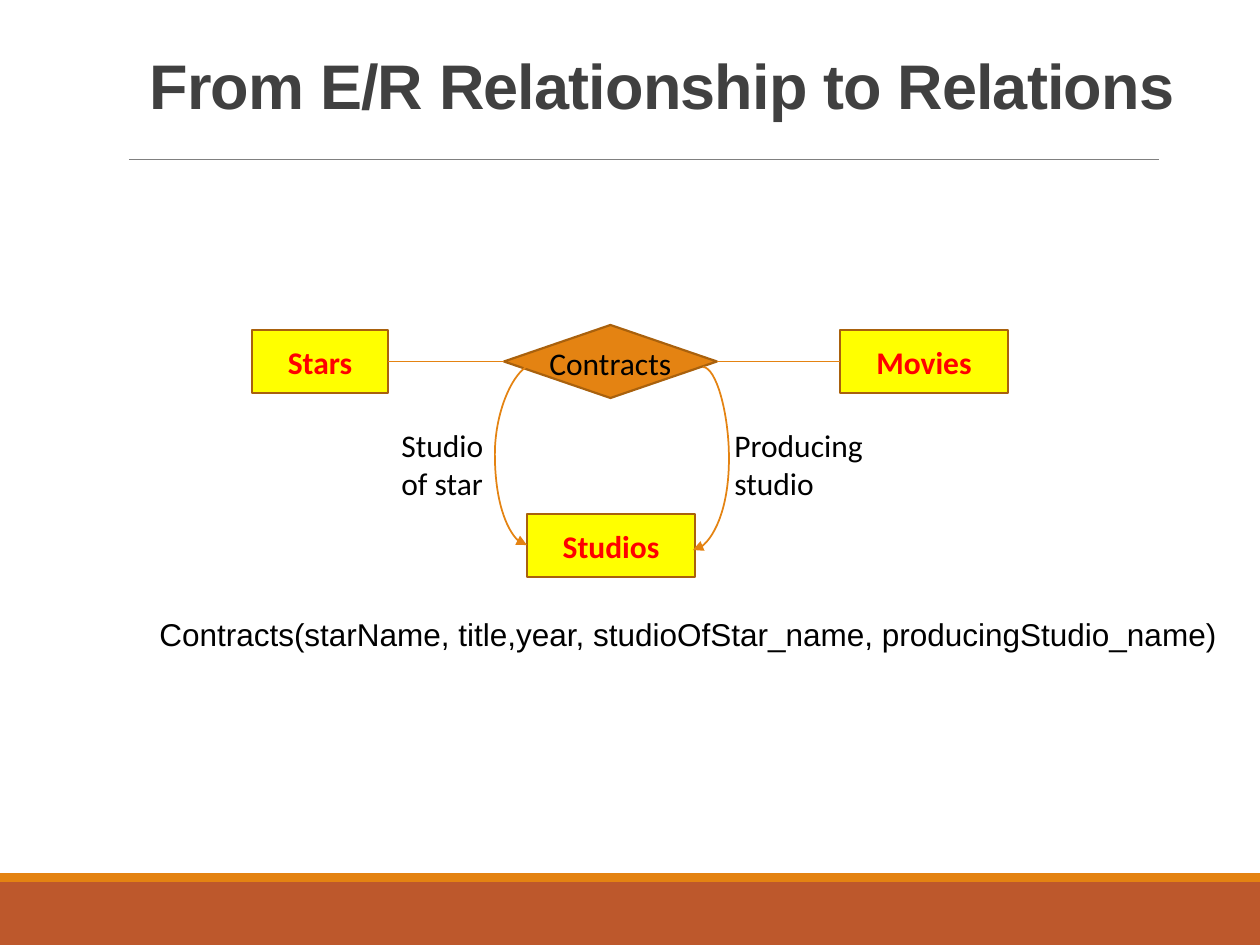
from dataclasses import dataclass

from lxml import etree
from pptx import Presentation
from pptx.dml.color import RGBColor
from pptx.enum.shapes import MSO_CONNECTOR, MSO_SHAPE
from pptx.enum.text import MSO_ANCHOR, MSO_AUTO_SIZE, PP_ALIGN
from pptx.oxml.ns import qn
from pptx.util import Emu, Pt

RECT, DIAMOND = MSO_SHAPE.RECTANGLE, MSO_SHAPE.DIAMOND
STRAIGHT, CURVE = MSO_CONNECTOR.STRAIGHT, MSO_CONNECTOR.CURVE
LEFT, CENTER = PP_ALIGN.LEFT, PP_ALIGN.CENTER
TOP, MIDDLE = MSO_ANCHOR.TOP, MSO_ANCHOR.MIDDLE
SIDE_LEFT, SIDE_RIGHT = 1, 3

EMU_PER_PX = 914400 / 126
ORANGE, RUST, BROWN = "E48312", "BD582C", "A9610D"
YELLOW, RED, BLACK, GRAY, DARK = "FFFF00", "FF0000", "000000", "808080", "404040"


@dataclass
class Box:
    x: int
    y: int
    w: int
    h: int


@dataclass
class Entity:
    name: str
    box: Box


@dataclass
class Label:
    lines: list[str]
    box: Box
    font: str = "Calibri"


@dataclass
class Role:
    """A curved arrow that swings out to x = bulge between its ends."""
    begin: tuple[int, int]
    end: tuple[int, int]
    bulge: int


ENTITIES = [
    Entity("Stars", Box(252, 330, 136, 63)),
    Entity("Movies", Box(840, 330, 168, 63)),
    Entity("Studios", Box(527, 514, 168, 63)),
]
LABELS = [
    Label(["Contracts"], Box(537, 338, 251, 50)),
    Label(["Studio", "of star"], Box(389, 420, 125, 89)),
    Label(["Producing", "studio"], Box(722, 420, 170, 89)),
    Label(["Contracts(starName, title,year, studioOfStar_name, producingStudio_name)"],
          Box(147, 609, 1084, 50), "Arial"),
]
ROLES = [
    Role((537, 363), (527, 545), 495),
    Role((703, 367), (693, 550), 729),
]


def px(n: int) -> Emu:
    return Emu(round(n * EMU_PER_PX))


def rgb(value: str) -> RGBColor:
    return RGBColor.from_string(value)


def place(b: Box) -> tuple[Emu, Emu, Emu, Emu]:
    return px(b.x), px(b.y), px(b.w), px(b.h)


def add_run(p, text: str, font: str, size: int, color: str, bold: bool = False):
    r = p.add_run()
    r.text = text
    r.font.name, r.font.size, r.font.bold = font, Pt(size), bold
    r.font.color.rgb = rgb(color)
    return r


def add_box(s, kind, b: Box, fill: str, line: str | None = None):
    sp = s.shapes.add_shape(kind, *place(b))
    sp.shadow.inherit = False
    sp.fill.solid()
    sp.fill.fore_color.rgb = rgb(fill)
    if line:
        sp.line.color.rgb = rgb(line)
        sp.line.width = Pt(1.25)
    else:
        sp.line.fill.background()
    return sp


def add_entity(s, entity: Entity):
    sp = add_box(s, RECT, entity.box, YELLOW, BROWN)
    tf = sp.text_frame
    tf.vertical_anchor = MIDDLE
    p = tf.paragraphs[0]
    p.alignment = CENTER
    add_run(p, entity.name, "Calibri", 18, RED, True)
    return sp


def add_label(s, label: Label) -> None:
    tf = s.shapes.add_textbox(*place(label.box)).text_frame
    tf.word_wrap = False
    tf.auto_size = MSO_AUTO_SIZE.SHAPE_TO_FIT_TEXT
    for i, line in enumerate(label.lines):
        p = tf.add_paragraph() if i else tf.paragraphs[0]
        add_run(p, line, label.font, 18, BLACK)


def add_line(s, kind, begin: tuple[int, int], end: tuple[int, int],
             color: str = ORANGE, width: float = 1):
    c = s.shapes.add_connector(kind, *map(px, begin + end))
    c.line.color.rgb = rgb(color)
    c.line.width = Pt(width)
    etree.SubElement(c._element.spPr, qn("a:effectLst"))
    return c


def join(s, a, b) -> None:
    """Link the right side of a to the left side of b."""
    c = add_line(s, STRAIGHT, (0, 0), (0, 0))
    c.begin_connect(a, SIDE_RIGHT)
    c.end_connect(b, SIDE_LEFT)


def add_role(s, role: Role) -> None:
    c = add_line(s, CURVE, role.begin, role.end)
    x1, x2 = role.begin[0], role.end[0]
    adjust = round((role.bulge - x1) / (x2 - x1) * 100000)
    guides = c._element.spPr.find(qn("a:prstGeom")).get_or_add_avLst()
    etree.SubElement(guides, qn("a:gd"), name="adj1", fmla=f"val {adjust}")
    etree.SubElement(c.line._get_or_add_ln(), qn("a:tailEnd"), type="triangle")


def add_title(s, text: str) -> None:
    title = s.shapes.title
    title.left, title.top, title.width, title.height = place(Box(137, 52, 1094, 116))
    tf = title.text_frame
    tf.word_wrap = True
    tf.auto_size = MSO_AUTO_SIZE.NONE
    tf.vertical_anchor = TOP
    p = tf.paragraphs[0]
    p.alignment = LEFT
    p.line_spacing = 0.85
    r = add_run(p, text, "Arial", 36, DARK, True)
    r.font._element.set("spc", "-50")


def main() -> None:
    prs = Presentation()
    prs.slide_width, prs.slide_height = px(1260), px(945)
    s = prs.slides.add_slide(prs.slide_layouts[5])

    add_box(s, RECT, Box(0, 882, 1260, 63), RUST)
    add_box(s, RECT, Box(0, 873, 1260, 9), ORANGE)
    add_line(s, STRAIGHT, (129, 159), (1159, 159), GRAY, 0.5)
    add_title(s, "From E/R Relationship to Relations")

    stars, movies, _ = [add_entity(s, entity) for entity in ENTITIES]
    contracts = add_box(s, DIAMOND, Box(504, 325, 213, 73), ORANGE, BROWN)
    join(s, stars, contracts)
    join(s, contracts, movies)
    for role in ROLES:
        add_role(s, role)
    for label in LABELS:
        add_label(s, label)

    prs.save("out.pptx")


if __name__ == "__main__":
    main()
